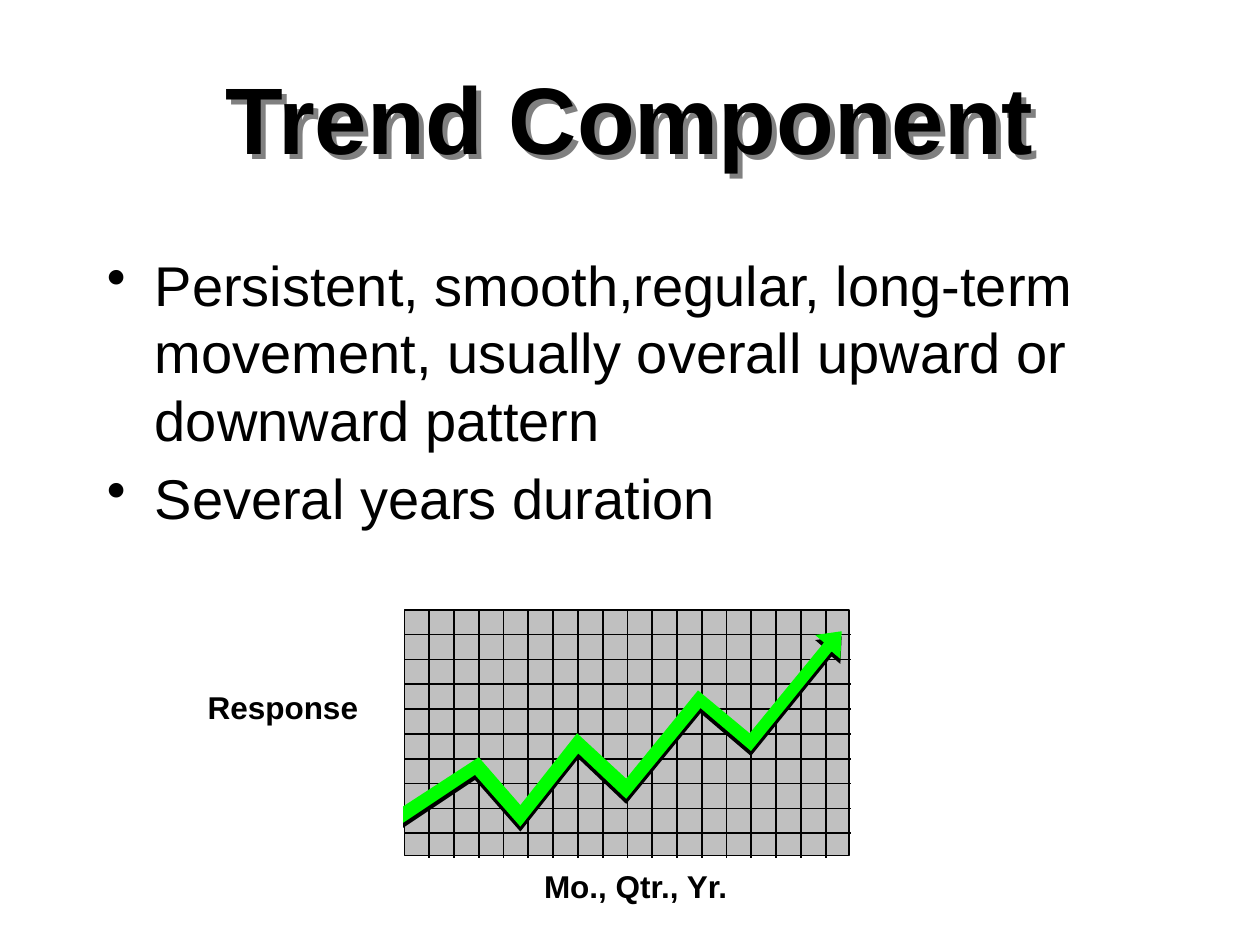
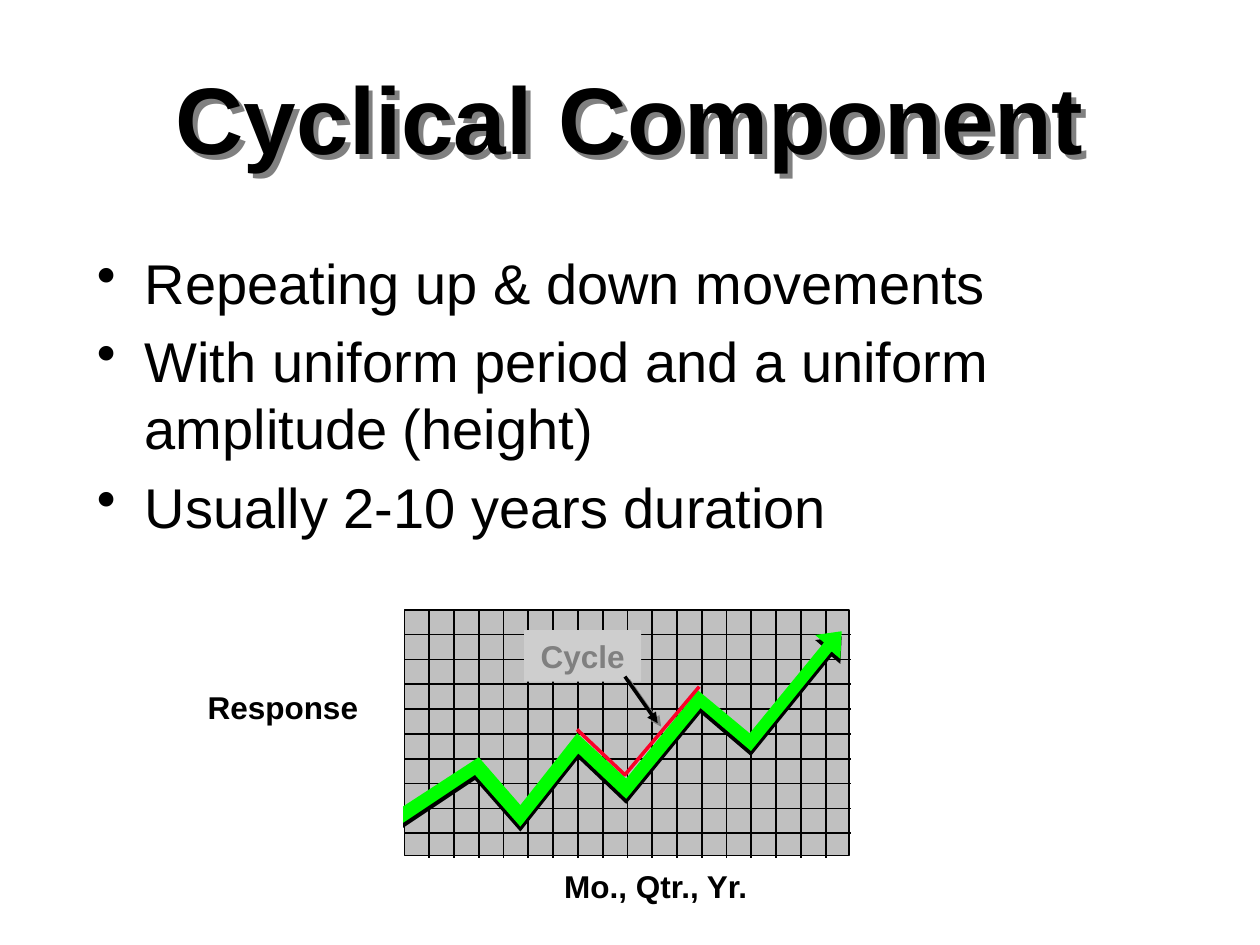
from dataclasses import dataclass

from lxml import etree
from pptx import Presentation
from pptx.dml.color import RGBColor
from pptx.enum.shapes import MSO_CONNECTOR, MSO_SHAPE
from pptx.enum.text import MSO_ANCHOR, PP_ALIGN
from pptx.oxml.ns import qn
from pptx.util import Inches, Pt

LINE, RECT = MSO_CONNECTOR.STRAIGHT, MSO_SHAPE.RECTANGLE
TOP, MIDDLE = MSO_ANCHOR.TOP, MSO_ANCHOR.MIDDLE
LEFT, CENTER = PP_ALIGN.LEFT, PP_ALIGN.CENTER


@dataclass(frozen=True)
class Theme:
    font: str = "Arial"
    ink: str = "000000"
    panel: str = "C0C0C0"
    trend: str = "00FF00"
    cycle: str = "FC0128"
    tag: str = "CECECE"
    shade: str = "808080"
    title: int = 54
    body: int = 32
    label: int = 18


THEME = Theme()

# Boxes are left, top, width, height in inches
TITLE = (0.5, 0.3, 9, 1.25)
PLOT = (3.21, 4.84, 3.54, 1.97)
COLS, ROWS = 18, 10

# Trend outline, measured from the plot corner
TREND = [
    (-0.01, 1.56), (0.59, 1.17), (0.92, 1.55), (1.37, 0.98), (1.76, 1.34),
    (2.33, 0.64), (2.74, 0.98), (3.33, 0.26), (3.26, 0.2), (3.47, 0.17),
    (3.46, 0.39), (3.39, 0.33), (2.75, 1.12), (2.35, 0.78), (1.76, 1.5),
    (1.38, 1.14), (0.92, 1.72), (0.56, 1.31), (-0.01, 1.69),
]
CYCLE = [(1.37, 0.95), (1.75, 1.31), (2.34, 0.61)]


def rgb(code):
    return RGBColor.from_string(code)


def inches(*sizes):
    return [Inches(size) for size in sizes]


def shadow(shape, dist=None):
    """Add an effect list: empty, or a hard shadow to the lower right."""
    effects = etree.SubElement(shape._element.spPr, qn("a:effectLst"))
    if dist:
        outer = etree.SubElement(effects, qn("a:outerShdw"), blurRad="0",
                                 dist=str(Pt(dist)), dir="2700000",
                                 algn="ctr", rotWithShape="0")
        etree.SubElement(outer, qn("a:srgbClr"), val=THEME.shade)


def write(shape, text, size=THEME.label, color=THEME.ink, bold=True,
          align=CENTER, anchor=TOP, inset=(0.1, 0.05), bullet=False):
    """Fill a shape with one paragraph for each line of text."""
    frame = shape.text_frame
    frame.word_wrap = True
    frame.vertical_anchor = anchor
    frame.margin_left = frame.margin_right = Inches(inset[0])
    frame.margin_top = frame.margin_bottom = Inches(inset[1])
    for i, line in enumerate(text.split("\n")):
        para = frame.add_paragraph() if i else frame.paragraphs[0]
        para.alignment = align
        if i:
            para.space_before = Pt(size * 0.2)
        run = para.add_run()
        run.text = line
        run.font.name, run.font.size = THEME.font, Pt(size)
        run.font.bold, run.font.color.rgb = bold, rgb(color)
        if bullet:
            props = para._p.get_or_add_pPr()
            props.set("marL", str(Inches(0.38)))
            props.set("indent", str(-Inches(0.38)))
            etree.SubElement(props, qn("a:buChar"), char="•")
    return shape


def add_text(slide, box, text, **style):
    return write(slide.shapes.add_textbox(*inches(*box)), text, **style)


def add_rect(slide, box, fill, line=None):
    rect = slide.shapes.add_shape(RECT, *inches(*box))
    rect.shadow.inherit = False
    rect.fill.solid()
    rect.fill.fore_color.rgb = rgb(fill)
    if line:
        rect.line.color.rgb, rect.line.width = rgb(line), Pt(1)
    else:
        rect.line.fill.background()
    return rect


def add_line(slide, start, end, width=1, arrow=False, dist=None):
    line = slide.shapes.add_connector(LINE, *inches(*start, *end))
    line.line.color.rgb, line.line.width = rgb(THEME.ink), Pt(width)
    if arrow:
        etree.SubElement(line.line._get_or_add_ln(), qn("a:tailEnd"),
                         type="triangle")
    shadow(line, dist)


def add_path(slide, box, points, drop=0, fill=None, line=None):
    """Draw points relative to the box, closed if filled."""
    spots = [inches(box[0] + x, box[1] + y + drop) for x, y in points]
    pen = slide.shapes.build_freeform(*spots[0])
    pen.add_line_segments(spots[1:], close=bool(fill))
    path = pen.convert_to_shape()
    path.shadow.inherit = False
    if fill:
        path.fill.solid()
        path.fill.fore_color.rgb = rgb(fill)
        path.line.fill.background()
    else:
        path.fill.background()
        path.line.color.rgb, path.line.width = rgb(line), Pt(2)


def draw_plot(slide, box, shift):
    """Grid, trend arrow and axis labels."""
    left, top, width, height = box
    add_rect(slide, (left, top, width - 0.01, height - 0.02),
             THEME.panel, THEME.ink)
    for i in range(1, COLS):
        x = left + width * i / COLS
        add_line(slide, (x, top), (x, top + height))
    for i in range(1, ROWS):
        y = top + height * i / ROWS
        add_line(slide, (left, y), (left + width, y))
    # Dark edge below the green arrow
    add_path(slide, box, TREND, drop=0.04, fill=THEME.ink)
    add_path(slide, box, TREND, fill=THEME.trend)
    # Axis labels
    add_text(slide, (left + shift, top + 1.99, 2.43, 0.5), "Mo., Qtr., Yr.")
    add_text(slide, (left - 1.97, top + 0.57, 2.01, 0.51), "Response")


def draw_cycle(slide, box):
    """Tag, red cycle stroke and pointer over the plot."""
    left, top = box[:2]
    tag = add_rect(slide, (left + 0.95, top + 0.16, 0.93, 0.41), THEME.tag)
    write(tag, "Cycle", color=THEME.shade, anchor=MIDDLE, inset=(0, 0))
    add_path(slide, box, CYCLE, line=THEME.cycle)
    add_line(slide, (left + 1.75, top + 0.53), (left + 2.01, top + 0.9),
             width=2, arrow=True, dist=2.8)


def add_page(deck, title, points, box, shift):
    slide = deck.slides.add_slide(deck.slide_layouts[6])
    draw_plot(slide, PLOT, shift)
    head = add_text(slide, TITLE, title, size=THEME.title, anchor=MIDDLE)
    shadow(head, 4)
    add_text(slide, box, "\n".join(points), size=THEME.body, bold=False,
             align=LEFT, bullet=True)
    return slide


def main():
    deck = Presentation()
    deck.slide_width, deck.slide_height = inches(10, 7.5)
    add_page(deck, "Trend Component", [
        "Persistent, smooth,regular, long-term movement, "
        "usually overall upward or downward pattern",
        "Several years duration",
    ], (0.75, 1.94, 8.54, 4.81), 0.62)
    slide = add_page(deck, "Cyclical Component", [
        "Repeating up & down movements",
        "With uniform period and a uniform amplitude (height)",
        "Usually 2-10 years duration",
    ], (0.67, 1.92, 8.92, 4.5), 0.78)
    draw_cycle(slide, PLOT)
    deck.save("out.pptx")


if __name__ == "__main__":
    main()
